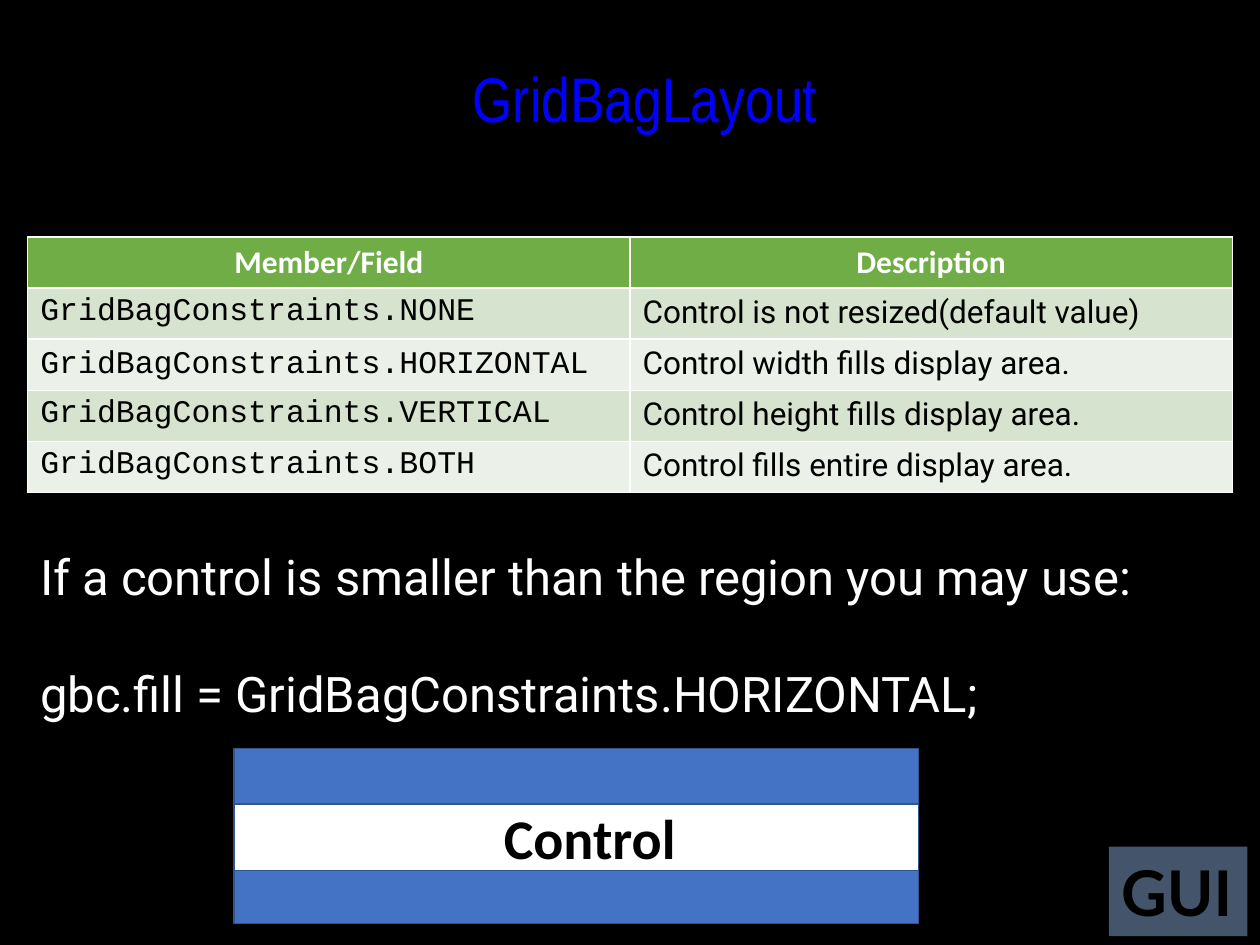
"""Build the GridBagLayout slide about the fill constraint."""
from pptx import Presentation
from pptx import util as u
from pptx.dml.color import RGBColor
from pptx.enum import shapes, text

COLORS = {
    "black": "000000", "white": "FFFFFF", "title": "0000FF", "badge": "44546A",
    "header": "70AD47", "odd": "D5E3CF", "even": "EBF1E9",
    "region": "4472C4", "edge": "325491",
}
FIELDS = [
    ("Member/Field", "Description"),
    ("GridBagConstraints.NONE", "Control is not resized(default value)"),
    ("GridBagConstraints.HORIZONTAL", "Control width fills display area."),
    ("GridBagConstraints.VERTICAL", "Control height fills display area."),
    ("GridBagConstraints.BOTH", "Control fills entire display area."),
]


def write(frame, content, font, size, color, bold=False, align=text.PP_ALIGN.LEFT):
    frame.text = content
    for paragraph in frame.paragraphs:
        paragraph.alignment = align
        for run in paragraph.runs:
            run.font.name = font
            run.font.size = u.Pt(size)
            run.font.bold = bold
            run.font.color.rgb = RGBColor.from_string(COLORS[color])


def add_box(left, top, width, height, fill, edge=None):
    box = slide.shapes.add_shape(
        shapes.MSO_SHAPE.RECTANGLE,
        u.Inches(left), u.Inches(top), u.Inches(width), u.Inches(height))
    box.shadow.inherit = False
    box.fill.solid()
    box.fill.fore_color.rgb = RGBColor.from_string(COLORS[fill])
    if edge:
        box.line.color.rgb = RGBColor.from_string(COLORS[edge])
        box.line.width = u.Pt(1)
    else:
        box.line.fill.background()
    return box


prs = Presentation()
prs.slide_width, prs.slide_height = u.Inches(10), u.Inches(7.5)
slide = prs.slides.add_slide(prs.slide_layouts[5])
slide.background.fill.solid()
slide.background.fill.fore_color.rgb = RGBColor.from_string(COLORS["black"])

badge = add_box(8.8, 6.72, 1.1, 0.71, "badge")
write(badge.text_frame, "GUI", "Lato", 36, "black", bold=True)

title = slide.shapes.title
title.left, title.top = u.Inches(1.17), u.Inches(0.42)
title.width, title.height = u.Inches(7.9), u.Inches(1.06)
title.text_frame.vertical_anchor = text.MSO_ANCHOR.TOP
title.text_frame.auto_size = text.MSO_AUTO_SIZE.NONE
write(title.text_frame, "GridBagLayout", "Arial Narrow", 36, "title",
      align=text.PP_ALIGN.CENTER)

usage = slide.shapes.add_textbox(
    u.Inches(0.22), u.Inches(4.29), u.Inches(9.56), u.Inches(1.51))
usage.text_frame.word_wrap = True
write(usage.text_frame,
      "If a control is smaller than the region you may use:\n"
      "gbc.fill = GridBagConstraints.HORIZONTAL;", "Roboto", 28, "white")
usage.text_frame.paragraphs[1].space_before = u.Pt(33)

fields = slide.shapes.add_table(
    len(FIELDS), 2, u.Inches(0.22), u.Inches(1.88), u.Inches(9.56), u.Inches(2.03)).table
for row, entries in enumerate(FIELDS):
    for column, entry in enumerate(entries):
        cell = fields.cell(row, column)
        cell.fill.solid()
        if row == 0:
            fill = "header"
            write(cell.text_frame, entry, "Calibri", 18, "white", bold=True,
                  align=text.PP_ALIGN.CENTER)
        else:
            fill = "odd" if row % 2 else "even"
            write(cell.text_frame, entry, ("Courier New", "Roboto")[column], 18, "black")
        cell.fill.fore_color.rgb = RGBColor.from_string(COLORS[fill])
fields.cell(2, 0).vertical_anchor = text.MSO_ANCHOR.MIDDLE

add_box(1.86, 5.94, 5.43, 1.39, "region", "edge")
add_box(1.86, 6.38, 5.43, 0.53, "white", "edge")
control = slide.shapes.add_textbox(
    u.Inches(3.9), u.Inches(6.33), u.Inches(1.6), u.Inches(0.64))
control.text_frame.word_wrap = True
write(control.text_frame, "Control", "Calibri", 32, "black", bold=True)

prs.save("out.pptx")
